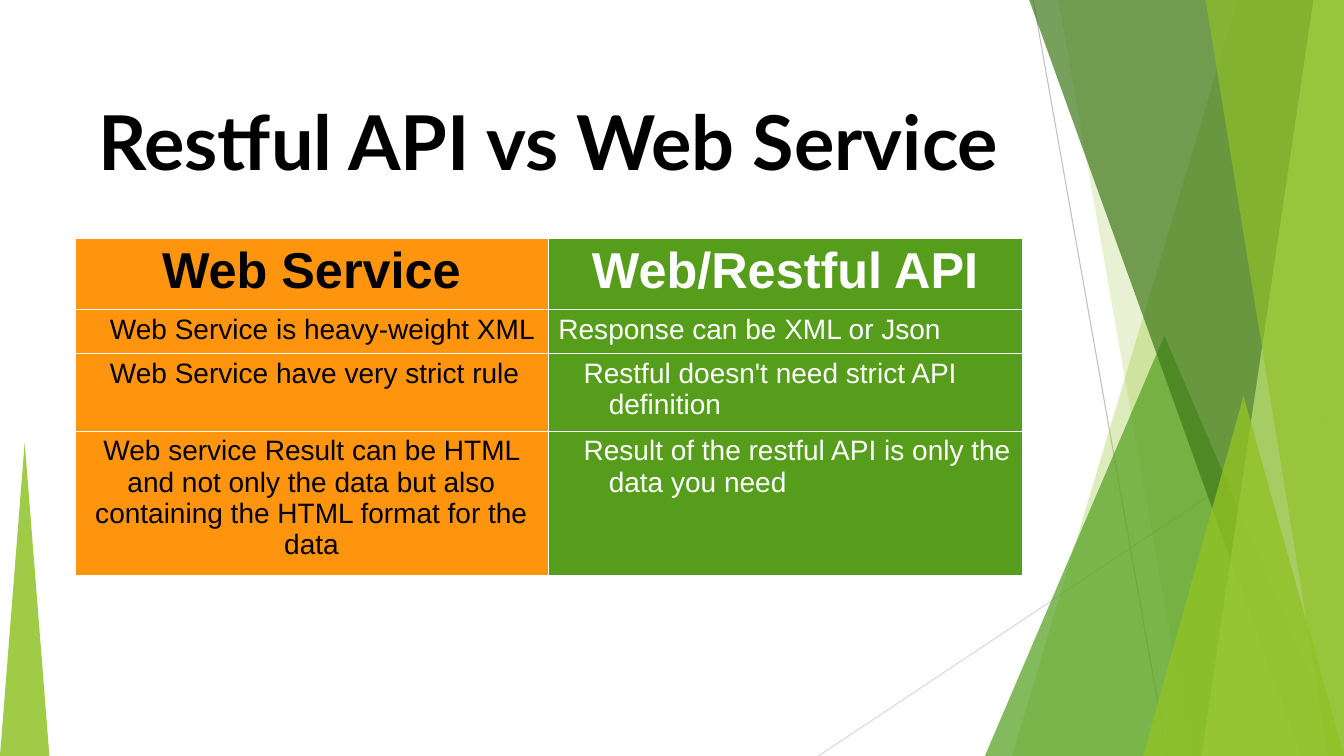
from dataclasses import dataclass

from lxml import etree
from pptx import Presentation
from pptx.dml.color import RGBColor
from pptx.enum.shapes import MSO_CONNECTOR, MSO_SHAPE
from pptx.enum.text import MSO_ANCHOR, PP_ALIGN
from pptx.oxml.ns import qn
from pptx.util import Inches, Pt

WIDE, HIGH = Inches(13.333), Inches(7.5)
LINE = MSO_CONNECTOR.STRAIGHT
PEAK = MSO_SHAPE.ISOSCELES_TRIANGLE
MIDDLE = MSO_ANCHOR.MIDDLE
LEFT, CENTER = PP_ALIGN.LEFT, PP_ALIGN.CENTER


@dataclass(frozen=True)
class Theme:
    black: str = "000000"
    white: str = "FFFFFF"
    orange: str = "FF950E"
    green: str = "579D1C"
    lime: str = "90C226"
    leaf: str = "54A021"
    moss: str = "3F7819"
    pale: str = "C0E474"
    gray: str = "BFBFBF"
    mist: str = "D9D9D9"
    title_font: str = "Lato"
    body_font: str = "Arial"
    title: int = 54
    head: int = 36
    body: int = 20


THEME = Theme()
PLAIN, HANG, MID = "plain", "hang", "mid"

ROWS = [
    (9.39, [("Web Service", MID), ("Web/Restful API", MID)]),
    (5.69, [("Web Service is heavy-weight XML", HANG),
            ("Response can be XML or Json", PLAIN)]),
    (10.32, [("Web Service have very strict rule", HANG),
             ("Restful doesn't need strict API definition", HANG)]),
    (19.05, [("Web service Result can be HTML and not only the data but also "
              "containing the HTML format for the data", MID),
             ("Result of the restful API is only the data you need", HANG)]),
]


def px(share):
    return round(WIDE * share / 100)


def py(share):
    return round(HIGH * share / 100)


def paint(shape, color, alpha):
    shape.shadow.inherit = False
    shape.line.fill.background()
    shape.fill.solid()
    shape.fill.fore_color.rgb = RGBColor.from_string(color)
    tone = shape.fill._xPr.find(".//" + qn("a:srgbClr"))
    etree.SubElement(tone, qn("a:alpha"), val=str(alpha * 1000))


def add_line(slide, start, end, color):
    line = slide.shapes.add_connector(
        LINE, px(start[0]), py(start[1]), px(end[0]), py(end[1]))
    line.line.color.rgb = RGBColor.from_string(color)
    line.line.width = Pt(0.75)
    etree.SubElement(line._element.spPr, qn("a:effectLst"))


def add_band(slide, top, base, color, alpha):
    form = slide.shapes.build_freeform(px(top), 0)
    form.add_line_segments(
        [(WIDE, 0), (WIDE, HIGH), (px(base), HIGH)], close=True)
    paint(form.convert_to_shape(), color, alpha)


def add_peak(slide, left, top, width, color, alpha):
    peak = slide.shapes.add_shape(
        PEAK, px(left), py(top), px(width), py(100 - top))
    paint(peak, color, alpha)


def add_run(para, text, font, size, color, bold):
    run = para.add_run()
    run.text = text
    run.font.name = font
    run.font.size = Pt(size)
    run.font.bold = bold
    run.font.color.rgb = RGBColor.from_string(color)


def add_title(slide, text):
    box = slide.shapes.add_textbox(px(5.55), py(4.93), px(70.5), py(27.2))
    frame = box.text_frame
    frame.word_wrap = True
    frame.vertical_anchor = MIDDLE
    frame.margin_left = frame.margin_right = 0
    frame.margin_top = frame.margin_bottom = 0
    para = frame.paragraphs[0]
    para.alignment = CENTER
    add_run(para, text, THEME.title_font, THEME.title, THEME.black, True)


def add_rules(cell):
    props = cell._tc.get_or_add_tcPr()
    for spot, side in enumerate(("lnL", "lnR", "lnT", "lnB")):
        rule = etree.Element(qn("a:" + side), w=str(Pt(0.06)))
        fill = etree.SubElement(rule, qn("a:solidFill"))
        etree.SubElement(fill, qn("a:srgbClr"), val=THEME.white)
        props.insert(spot, rule)


def fill_cell(cell, text, style, size, ink, back, bold):
    cell.fill.solid()
    cell.fill.fore_color.rgb = RGBColor.from_string(back)
    add_rules(cell)
    para = cell.text_frame.paragraphs[0]
    para.alignment = CENTER if style == MID else LEFT
    if style == HANG:
        props = para._p.get_or_add_pPr()
        props.set("marL", str(Inches(0.5)))
        props.set("indent", str(Inches(-0.25)))
    add_run(para, text, THEME.body_font, size, ink, bold)


def add_grid(slide):
    tall = sum(share for share, _ in ROWS)
    table = slide.shapes.add_table(
        len(ROWS), 2, px(5.55), py(31.47), px(70.5), py(tall)).table
    table.first_row = table.horz_banding = False
    looks = [(THEME.black, THEME.orange), (THEME.white, THEME.green)]
    for r, (share, cells) in enumerate(ROWS):
        table.rows[r].height = py(share)
        size = THEME.body if r else THEME.head
        for c, (text, style) in enumerate(cells):
            fill_cell(table.cell(r, c), text, style, size, *looks[c], r == 0)


def main():
    deck = Presentation()
    deck.slide_width, deck.slide_height = WIDE, HIGH
    slide = deck.slides.add_slide(deck.slide_layouts[6])
    add_line(slide, (76.88, 0), (86.85, 100), THEME.gray)
    add_line(slide, (100, 53.73), (60.9, 100), THEME.mist)
    add_band(slide, 92.1, 75.3, THEME.lime, 30)
    add_band(slide, 78.75, 88.65, THEME.lime, 20)
    add_peak(slide, 73.28, 44.4, 26.72, THEME.leaf, 72)
    add_band(slide, 76.58, 96.83, THEME.moss, 70)
    add_band(slide, 97.73, 89.4, THEME.pale, 70)
    add_band(slide, 89.7, 98.85, THEME.lime, 65)
    add_peak(slide, 85.05, 52.4, 14.95, THEME.lime, 80)
    add_peak(slide, 0, 58.53, 3.68, THEME.lime, 85)
    add_title(slide, "Restful API vs Web Service")
    add_grid(slide)
    deck.save("out.pptx")


if __name__ == "__main__":
    main()
